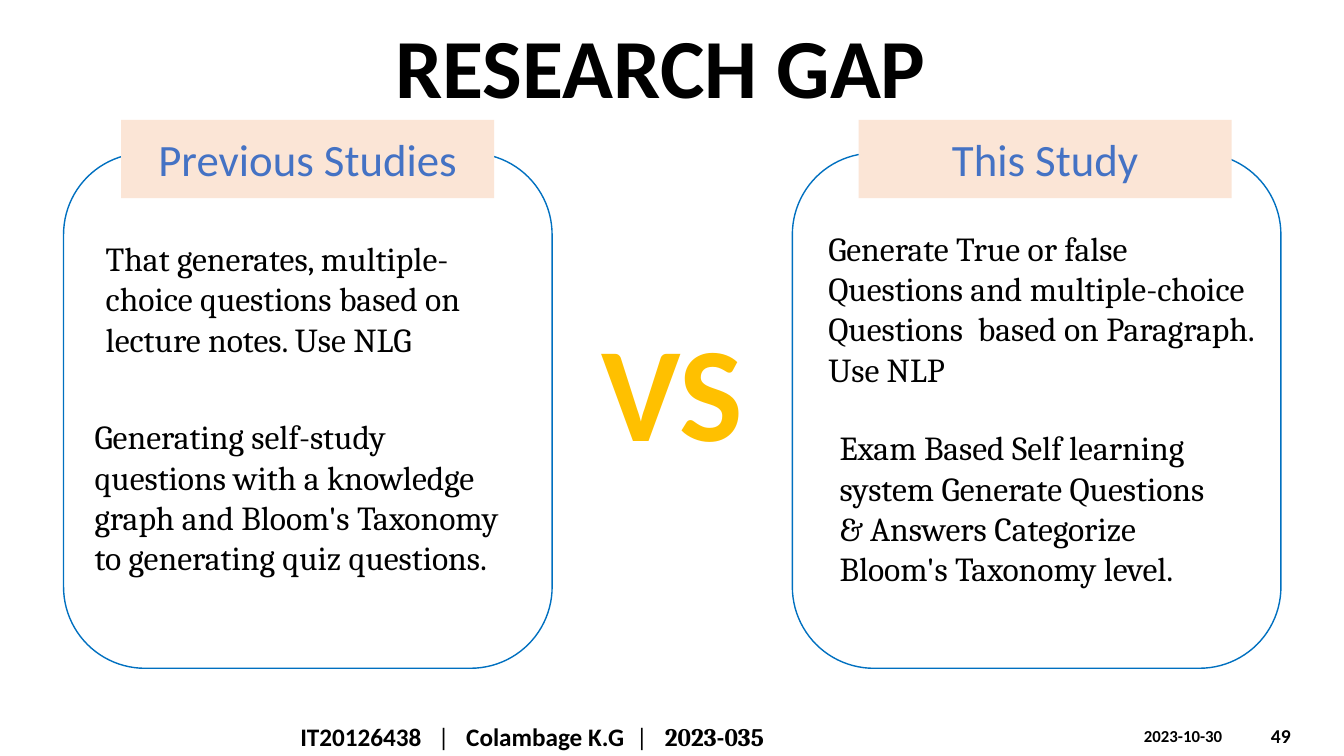
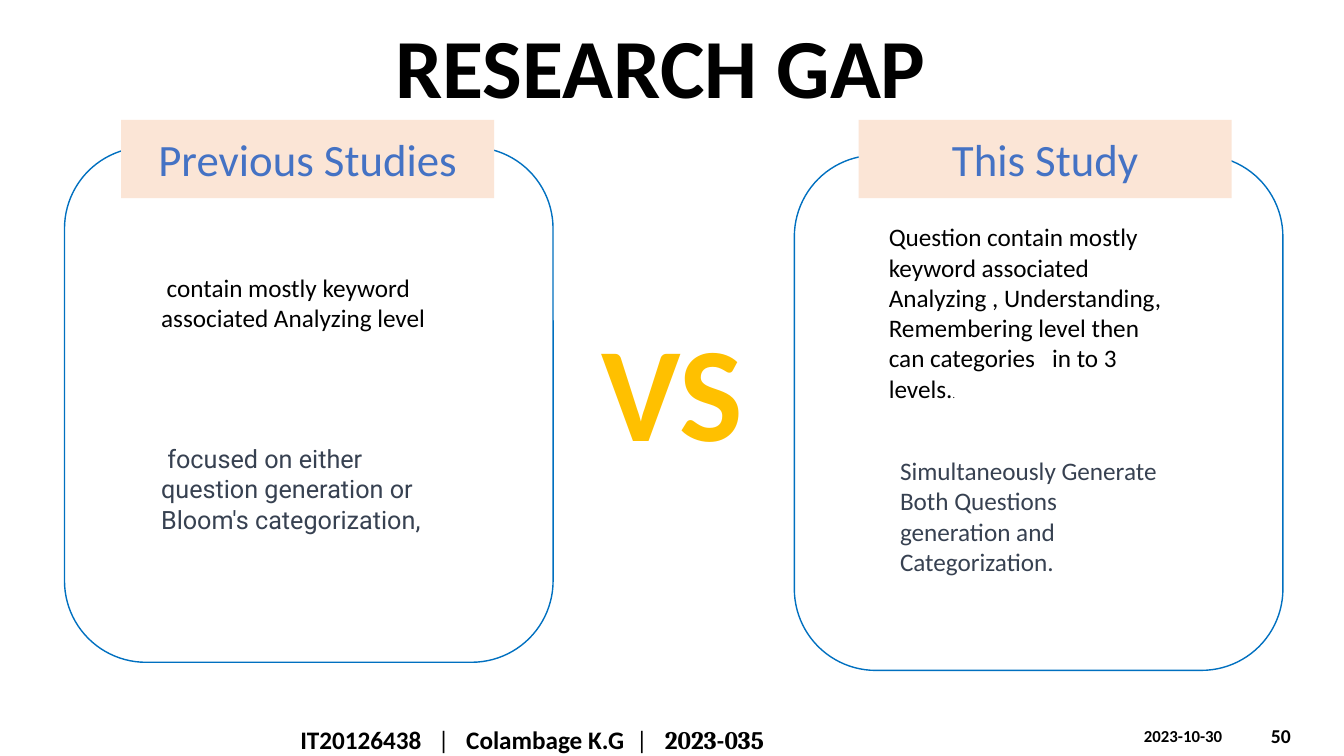
from lxml.etree import SubElement
from pptx import Presentation
from pptx.dml.color import RGBColor
from pptx.enum.shapes import MSO_SHAPE
from pptx.enum.text import MSO_ANCHOR, PP_ALIGN
from pptx.oxml.ns import qn
from pptx.util import Pt

BLACK = RGBColor(0x00, 0x00, 0x00)
SLATE = RGBColor(0x37, 0x41, 0x51)
BLUE = RGBColor(0x44, 0x72, 0xC4)
OUTLINE = RGBColor(0x00, 0x70, 0xC0)
PEACH = RGBColor(0xFB, 0xE5, 0xD6)
GOLD = RGBColor(0xFF, 0xC0, 0x00)
FOOTER_TABS = (("ctr", 102.5), ("l", 118.5), ("ctr", 244), ("l", 260.5))


class Deck:
    """Comparison slides in one shared style."""

    def __init__(self):
        self.prs = Presentation()
        self.prs.slide_width, self.prs.slide_height = Pt(960), Pt(540)
        self.s = None

    def style(self, p, size, color=BLACK, font="Calibri", bold=False):
        p.font.size, p.font.name, p.font.bold = Pt(size), font, bold
        p.font.color.rgb = color

    def box(self, x, y, w, h, anchor=MSO_ANCHOR.TOP):
        tf = self.s.shapes.add_textbox(Pt(x), Pt(y), Pt(w), Pt(h)).text_frame
        tf.word_wrap = True
        tf.vertical_anchor = anchor
        return tf.paragraphs[0]

    def text(self, text, x, y, w, h, size, color=BLACK, font="Calibri", bold=False,
             align=PP_ALIGN.LEFT, anchor=MSO_ANCHOR.TOP, indent=0):
        p = self.box(x, y, w, h, anchor)
        p.add_run().text = text
        p.alignment = align
        if indent:
            p._p.get_or_add_pPr().set("indent", str(Pt(indent)))
        self.style(p, size, color, font, bold)
        return p

    def shape(self, kind, x, y, w, h):
        sp = self.s.shapes.add_shape(kind, Pt(x), Pt(y), Pt(w), Pt(h))
        sp.shadow.inherit = False
        return sp

    def panel(self, x, y):
        sp = self.shape(MSO_SHAPE.ROUNDED_RECTANGLE, x, y, 349, 368)
        sp.fill.background()
        sp.line.color.rgb = OUTLINE
        sp.line.width = Pt(1)

    def header(self, text, x):
        sp = self.shape(MSO_SHAPE.RECTANGLE, x, 85.6, 266.4, 56)
        sp.fill.solid()
        sp.fill.fore_color.rgb = PEACH
        sp.line.fill.background()
        sp.text_frame.vertical_anchor = MSO_ANCHOR.MIDDLE
        p = sp.text_frame.paragraphs[0]
        p.add_run().text = text
        p.alignment = PP_ALIGN.CENTER
        self.style(p, 32, BLUE)

    def footer(self, number, y):
        p = self.box(207.4, y, 536.4, 29, MSO_ANCHOR.MIDDLE)
        tabs = SubElement(p._p.get_or_add_pPr(), qn("a:tabLst"))
        for algn, pos in FOOTER_TABS:
            SubElement(tabs, qn("a:tab"), pos=str(Pt(pos)), algn=algn)
        self.style(p, 18)
        for text, bold in (("IT20126438", True), ("\t|\t", False),
                           ("Colambage K.G", True), ("\t|\t", False), ("2023-035", True)):
            r = p.add_run()
            r.text = text
            r.font.bold = bold
        r.font.name = "Cambria"
        self.text("2023-10-30", 810, 514.8, 84.2, 21.8, 12, bold=True)
        self.text(number, 900.7, 511.2, 53.3, 28.8, 14, bold=True, anchor=MSO_ANCHOR.MIDDLE)

    def comparison(self, number, footer_y, panels):
        self.s = self.prs.slides.add_slide(self.prs.slide_layouts[6])
        self.footer(number, footer_y)
        self.text("RESEARCH GAP", 57.6, 15.1, 828.7, 94.3, 60, bold=True,
                  align=PP_ALIGN.CENTER).line_spacing = 0.9
        for x, y in panels:
            self.panel(x, y)
        self.text("VS", 420.5, 216, 119.5, 123.8, 96, GOLD, bold=True, align=PP_ALIGN.CENTER)
        self.header("Previous Studies", 86.6)
        self.header("This Study", 613.4)


def main():
    deck = Deck()

    deck.comparison("49", 511.2, ((45.4, 109.4), (566, 109.4)))
    for text, x, y, w, h in (
        ("That generates, multiple-choice questions based on lecture notes. Use NLG",
         68.4, 166.3, 277.2, 94.3),
        ("Generating self-study questions with a knowledge graph and Bloom's Taxonomy "
         "to generating quiz questions.", 60.5, 293.8, 319, 123.8),
        ("Generate True or false Questions and multiple-choice Questions  based on "
         "Paragraph. Use NLP", 584.6, 159.1, 319, 123.8),
        ("Exam Based Self learning system Generate Questions & Answers Categorize "
         "Bloom's Taxonomy level.", 592.6, 301.7, 293.8, 123.8),
    ):
        deck.text(text, x, y, w, h, 24, font="Cambria")

    deck.comparison("50", 513.4, ((46.1, 105.1), (567.4, 110.9)))
    deck.text("contain mostly keyword associated Analyzing level",
              108, 190.8, 216, 51, 18, indent=4)
    p = deck.text("Question contain mostly keyword associated Analyzing , Understanding, "
                  "Remembering level then can categories   in to 3 levels.",
                  627.8, 154.8, 216, 138.2, 18)
    r = p.add_run()
    r.text = "."
    r.font.size = Pt(7)
    deck.text("focused on either question generation or Bloom's categorization,",
              108, 313.2, 225.4, 72.7, 18, SLATE, "Roboto", indent=4.5)
    deck.text("Simultaneously Generate Both Questions generation and Categorization.",
              635.8, 321.8, 208, 94.3, 18, SLATE)

    deck.prs.save("out.pptx")


if __name__ == "__main__":
    main()
